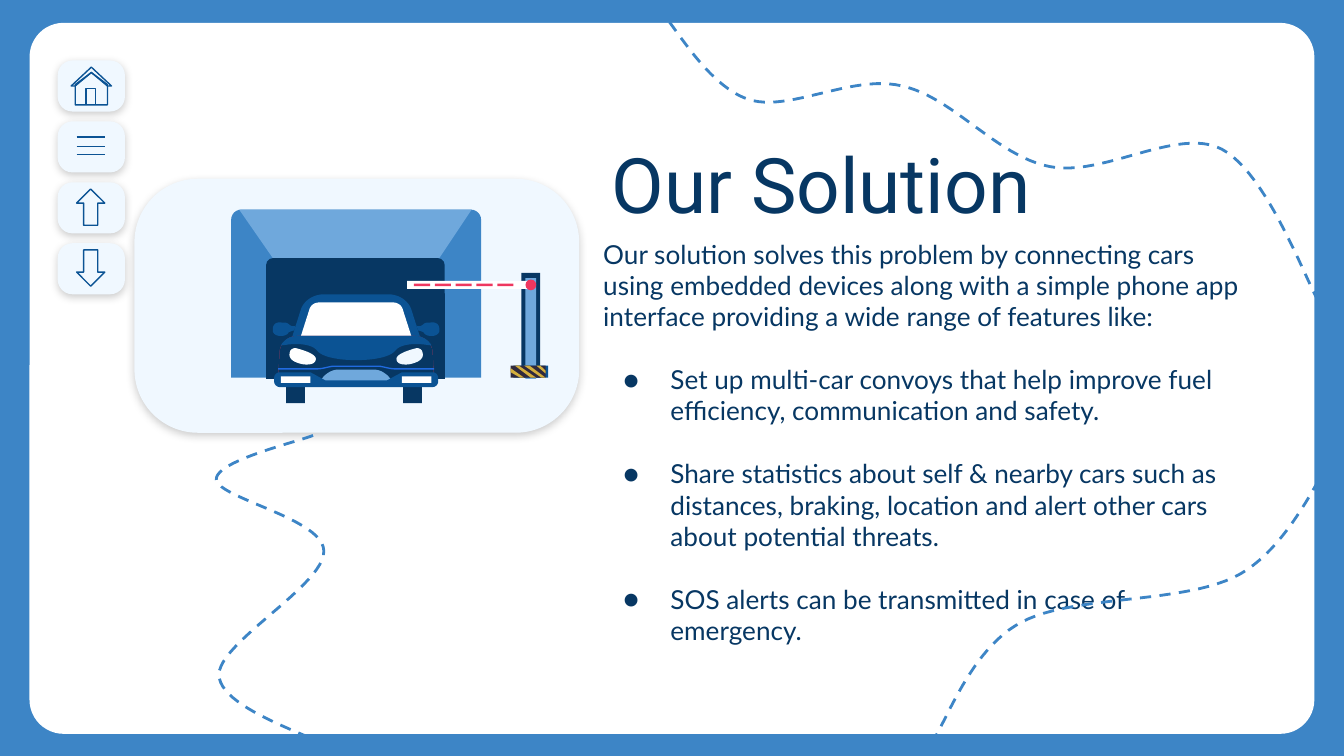
from lxml.etree import SubElement
from pptx import Presentation
from pptx.dml.color import RGBColor
from pptx.enum.dml import MSO_LINE
from pptx.enum.shapes import MSO_CONNECTOR, MSO_SHAPE as Preset
from pptx.enum.text import MSO_ANCHOR as Anchor, PP_ALIGN as Align
from pptx.oxml.ns import qn
from pptx.util import Inches, Pt

COLORS = {
    "blue": "3D85C6", "white": "FFFFFF", "ice": "F0F8FF", "navy": "073763",
    "sky": "6FA8DC", "royal": "0B5394", "red": "EE375F", "charcoal": "302A3D",
    "gold": "D4AF3D", "crease": "216BE0", "black": "000000",
}
CAR_AXIS = 2.65
HOUSE_AXIS = 0.68

INTRO = ("Our solution solves this problem by connecting cars using embedded devices "
         "along with a simple phone app interface providing a wide range of features like:")
FEATURES = [
    "Set up multi-car convoys that help improve fuel efficiency, communication and safety.",
    "Share statistics about self & nearby cars such as distances, braking, location "
    "and alert other cars about potential threats.",
    "SOS alerts can be transmitted in case of emergency.",
]


def trace(path, steps=12):
    """Turn (x, y) corners and (x1, y1, x2, y2, x, y) Bezier steps into points."""
    points = [path[0]]
    for step in path[1:]:
        if len(step) == 2:
            points.append(step)
            continue
        nodes = [points[-1], step[:2], step[2:4], step[4:]]
        for i in range(1, steps + 1):
            t = i / steps
            weights = ((1 - t) ** 3, 3 * t * (1 - t) ** 2, 3 * t * t * (1 - t), t ** 3)
            points.append(tuple(sum(w * node[axis] for w, node in zip(weights, nodes))
                                for axis in (0, 1)))
    return points


def mirror(points, axis):
    return [(2 * axis - x, y) for x, y in reversed(points)]


def symmetric(half, axis):
    """Complete the left half of an outline with its reflection."""
    points = trace(half)
    return points + mirror(points, axis)


class SlideBuilder:
    def __init__(self, slide):
        self.slide = slide
        self.shapes = slide.shapes

    def color(self, name):
        return RGBColor.from_string(COLORS[name])

    def background(self, name):
        fill = self.slide.background.fill
        fill.solid()
        fill.fore_color.rgb = self.color(name)

    def paint(self, shape, fill=None, line=None, width=0.75):
        shape.shadow.inherit = False
        if fill:
            shape.fill.solid()
            shape.fill.fore_color.rgb = self.color(fill)
        else:
            shape.fill.background()
        if line:
            shape.line.color.rgb = self.color(line)
            shape.line.width = Pt(width)
        else:
            shape.line.fill.background()
        return shape

    def preset(self, kind, box, fill=None, line=None, adjust=()):
        shape = self.shapes.add_shape(kind, *map(Inches, box))
        for i, value in enumerate(adjust):
            shape.adjustments[i] = value
        return self.paint(shape, fill, line)

    def card(self, box, corner):
        """Rounded ice-blue card with a soft shadow below it."""
        card = self.preset(Preset.ROUNDED_RECTANGLE, box, "ice", adjust=[corner])
        effects = card._element.spPr.find(qn("a:effectLst"))
        shadow = SubElement(effects, qn("a:outerShdw"), blurRad=str(Pt(4.5)),
                            dist=str(Pt(1.5)), dir="5400000", algn="bl", rotWithShape="0")
        tone = SubElement(shadow, qn("a:srgbClr"), val=COLORS["black"])
        SubElement(tone, qn("a:alpha"), val="20000")

    def outline(self, points, fill=None, line=None, width=0.75, closed=True):
        points = [(Inches(x), Inches(y)) for x, y in points]
        builder = self.shapes.build_freeform(*points[0])
        builder.add_line_segments(points[1:], close=closed)
        return self.paint(builder.convert_to_shape(), fill, line, width)

    def road(self, path):
        """Open dashed curve."""
        curve = self.outline(trace(path, 24), line="blue", width=1.5, closed=False)
        curve.line.dash_style = MSO_LINE.DASH

    def rule(self, left, right, y):
        rule = self.shapes.add_connector(
            MSO_CONNECTOR.STRAIGHT, Inches(left), Inches(y), Inches(right), Inches(y))
        rule.line.color.rgb = self.color("royal")
        rule.line.width = Pt(0.75)
        SubElement(rule._element.spPr, qn("a:effectLst"))

    def text(self, box, paragraphs, font, size, align=Align.LEFT, anchor=Anchor.TOP):
        frame = self.shapes.add_textbox(*map(Inches, box)).text_frame
        frame.word_wrap = True
        frame.vertical_anchor = anchor
        frame.margin_left = frame.margin_right = Inches(0.1)
        frame.margin_top = frame.margin_bottom = Inches(0.1)
        frame.text = "\n".join(paragraphs)
        for paragraph in frame.paragraphs:
            paragraph.alignment = align
            for run in paragraph.runs:
                run.font.name = font
                run.font.size = Pt(size)
                run.font.color.rgb = self.color("navy")
        return frame

    def bullet(self, paragraph):
        paragraph.space_before = Pt(16.8)
        props = paragraph._p.get_or_add_pPr()
        props.set("marL", str(Inches(0.5)))
        props.set("indent", str(Inches(-0.35)))
        SubElement(SubElement(props, qn("a:buClr")), qn("a:srgbClr"), val=COLORS["navy"])
        SubElement(props, qn("a:buFont"), typeface="Lato")
        SubElement(props, qn("a:buChar"), char="●")


def draw_garage(page):
    top_rounded = Preset.ROUND_2_SAME_RECTANGLE
    page.preset(top_rounded, (1.72, 1.56, 1.86, 1.25), "blue", adjust=[0.06, 0])
    page.preset(top_rounded, (1.98, 1.92, 1.33, 0.9), "navy", adjust=[0.06, 0])
    page.outline([(1.78, 1.56), (2.03, 1.92), (3.27, 1.92), (3.51, 1.56)], "sky")


def draw_barrier(page):
    page.preset(Preset.RECTANGLE, (3.88, 2.03, 0.14, 0.78), "navy")
    page.preset(Preset.RECTANGLE, (3.91, 2.07, 0.08, 0.75), "sky")
    page.preset(Preset.RECTANGLE, (3.03, 2.09, 0.94, 0.06), "white")
    page.preset(Preset.OVAL, (3.91, 2.08, 0.08, 0.08), "red")
    for i in range(5):
        page.preset(Preset.RECTANGLE, (3.08 + i * 0.62 / 4, 2.11, 0.12, 0.02), "red")
    for left, fill in ((3.82, "royal"), (3.8, "charcoal")):
        page.preset(Preset.RECTANGLE, (left, 2.72, 0.26, 0.09), fill)
    for stripe in (
        [(3.99, 2.72), (4.06, 2.78), (4.06, 2.76), (4.02, 2.72)],
        [(3.9, 2.72), (4.03, 2.81), (4.06, 2.81), (3.94, 2.72)],
        [(3.83, 2.72), (3.95, 2.81), (3.99, 2.81), (3.86, 2.72)],
        [(3.8, 2.74), (3.8, 2.77), (3.87, 2.81), (3.9, 2.81)],
    ):
        page.outline(stripe, "gold")


def draw_car(page):
    for left in (2.13, 3):
        page.preset(Preset.RECTANGLE, (left, 2.73, 0.14, 0.27), "navy")
    cabin = [(2.41, 2.19), (2.33, 2.19, 2.26, 2.24, 2.24, 2.3), (2.17, 2.52)]
    window = [(2.38, 2.25), (2.34, 2.25, 2.31, 2.27, 2.3, 2.31), (2.22, 2.56)]
    body = [(2.21, 2.5), (2.14, 2.5, 2.08, 2.56, 2.08, 2.63), (2.07, 2.85)]
    grille = [(2.52, 2.75), (2.48, 2.75, 2.44, 2.77, 2.41, 2.8), (2.37, 2.85)]
    hood = [(2.21, 2.5), (2.16, 2.5, 2.11, 2.53, 2.09, 2.57),
            (2.11, 2.57, 2.15, 2.56, 2.2, 2.56), (2.26, 2.56, 2.33, 2.57, 2.36, 2.61),
            (2.4, 2.66, 2.53, 2.68, 2.65, 2.68)]
    bumper = [(2.42, 2.83), (2.31, 2.77), (2.08, 2.77), (2.06, 2.77, 2.04, 2.79, 2.04, 2.81),
              (2.04, 2.84), (2.04, 2.86, 2.06, 2.88, 2.08, 2.88)]
    crease = [(2.49, 2.72), (2.45, 2.72, 2.41, 2.74, 2.36, 2.74), (2.07, 2.74),
              (2.07, 2.75), (2.36, 2.75), (2.41, 2.75, 2.45, 2.73, 2.49, 2.73)]
    headlight = trace([(2.2, 2.59), (2.17, 2.59, 2.16, 2.61, 2.16, 2.61),
                       (2.13, 2.68, 2.21, 2.7, 2.25, 2.71), (2.32, 2.72, 2.35, 2.7, 2.35, 2.67),
                       (2.35, 2.63, 2.24, 2.6, 2.2, 2.59)])
    side_mirror = trace([(2.1, 2.4), (2.03, 2.39, 2.03, 2.44, 2.03, 2.46),
                         (2.03, 2.47, 2.04, 2.5, 2.09, 2.5), (2.12, 2.5, 2.14, 2.49, 2.15, 2.47),
                         (2.16, 2.47, 2.17, 2.46, 2.19, 2.46), (2.2, 2.42),
                         (2.2, 2.43, 2.17, 2.43, 2.16, 2.42), (2.14, 2.41, 2.15, 2.4, 2.1, 2.4)])
    for half, fill in ((cabin, "royal"), (window, "white"), (body, "red"), (body, "navy"),
                       (grille, "sky"), (hood, "royal")):
        page.outline(symmetric(half, CAR_AXIS), fill)
    page.outline(headlight, "white")
    page.outline(mirror(headlight, CAR_AXIS), "ice")
    page.outline(symmetric(bumper, CAR_AXIS), "royal")
    for left in (2.09, 2.99):
        page.preset(Preset.RECTANGLE, (left, 2.8, 0.22, 0.05), "white")
    page.outline(symmetric(crease, CAR_AXIS), "crease")
    for points in (side_mirror, mirror(side_mirror, CAR_AXIS)):
        page.outline(points, "royal")


def draw_navigation(page):
    tops = [0.45 + i * 1.36 / 3 for i in range(4)]
    for top in tops:
        page.card((0.43, top, 0.5, 0.38), 0.29)
    walls = [(HOUSE_AXIS, 0.54), (0.56, 0.63), (0.56, 0.78)]
    roof = [(HOUSE_AXIS, 0.5), (0.53, 0.64), (0.56, 0.64), (HOUSE_AXIS, 0.54)]
    page.outline(symmetric(walls, HOUSE_AXIS), line="royal")
    page.preset(Preset.RECTANGLE, (0.64, 0.66, 0.07, 0.12), line="royal")
    page.outline(symmetric(roof, HOUSE_AXIS), line="royal")
    for y in (1.02, 1.09, 1.15):
        page.rule(0.57, 0.78, y)
    for kind, top in zip((Preset.UP_ARROW, Preset.DOWN_ARROW), tops[2:]):
        page.preset(kind, (0.57, top + 0.05, 0.21, 0.27), line="royal", adjust=[0.5, 0.5])


def main():
    deck = Presentation()
    deck.slide_width = Inches(10)
    deck.slide_height = deck.slide_width * 9 // 16
    page = SlideBuilder(deck.slides.add_slide(deck.slide_layouts[6]))
    page.background("blue")
    page.preset(Preset.ROUNDED_RECTANGLE, (0.22, 0.17, 9.56, 5.29), "white", adjust=[0.048])
    page.card((1, 1.33, 3.31, 1.89), 0.25)
    body = page.text((4.39, 1.67, 4.93, 2.45), [INTRO, *FEATURES], "Lato", 14)
    for feature in body.paragraphs[1:]:
        page.bullet(feature)
    page.text((3.46, 0.78, 4.31, 1.02), ["Our Solution"], "Roboto", 41, Align.RIGHT, Anchor.BOTTOM)
    draw_garage(page)
    draw_barrier(page)
    draw_car(page)
    page.road([(2.33, 3.24), (2.21, 3.29, 1.6, 3.43, 1.61, 3.57), (1.63, 3.71, 2.41, 3.86, 2.41, 4.1),
               (2.42, 4.35, 1.63, 4.78, 1.63, 5.02), (1.63, 5.26, 2.28, 5.46, 2.41, 5.54)])
    draw_navigation(page)
    page.road([(4.89, 0.05), (5.01, 0.17, 5.26, 0.64, 5.57, 0.74), (5.87, 0.84, 6.34, 0.55, 6.71, 0.64),
               (7.09, 0.72, 7.41, 1.16, 7.81, 1.24), (8.21, 1.32, 8.76, 0.94, 9.09, 1.11),
               (9.43, 1.29, 9.71, 2.08, 9.83, 2.28)])
    page.road([(6.93, 5.53), (7.04, 5.38, 7.22, 4.83, 7.6, 4.63),
               (7.99, 4.42, 8.83, 4.5, 9.23, 4.27), (9.63, 4.04, 9.87, 3.42, 10, 3.25)])
    deck.save("out.pptx")


if __name__ == "__main__":
    main()
